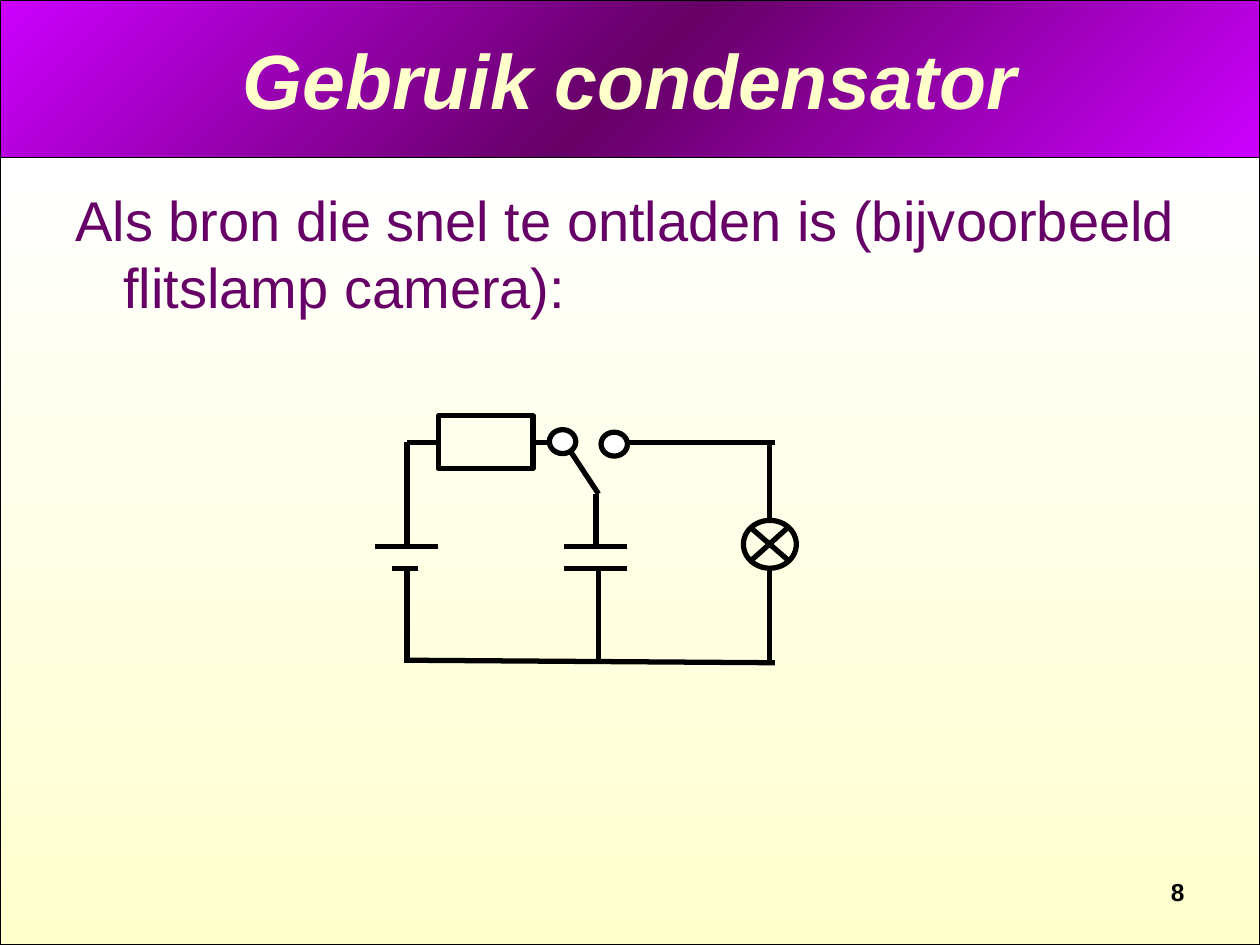
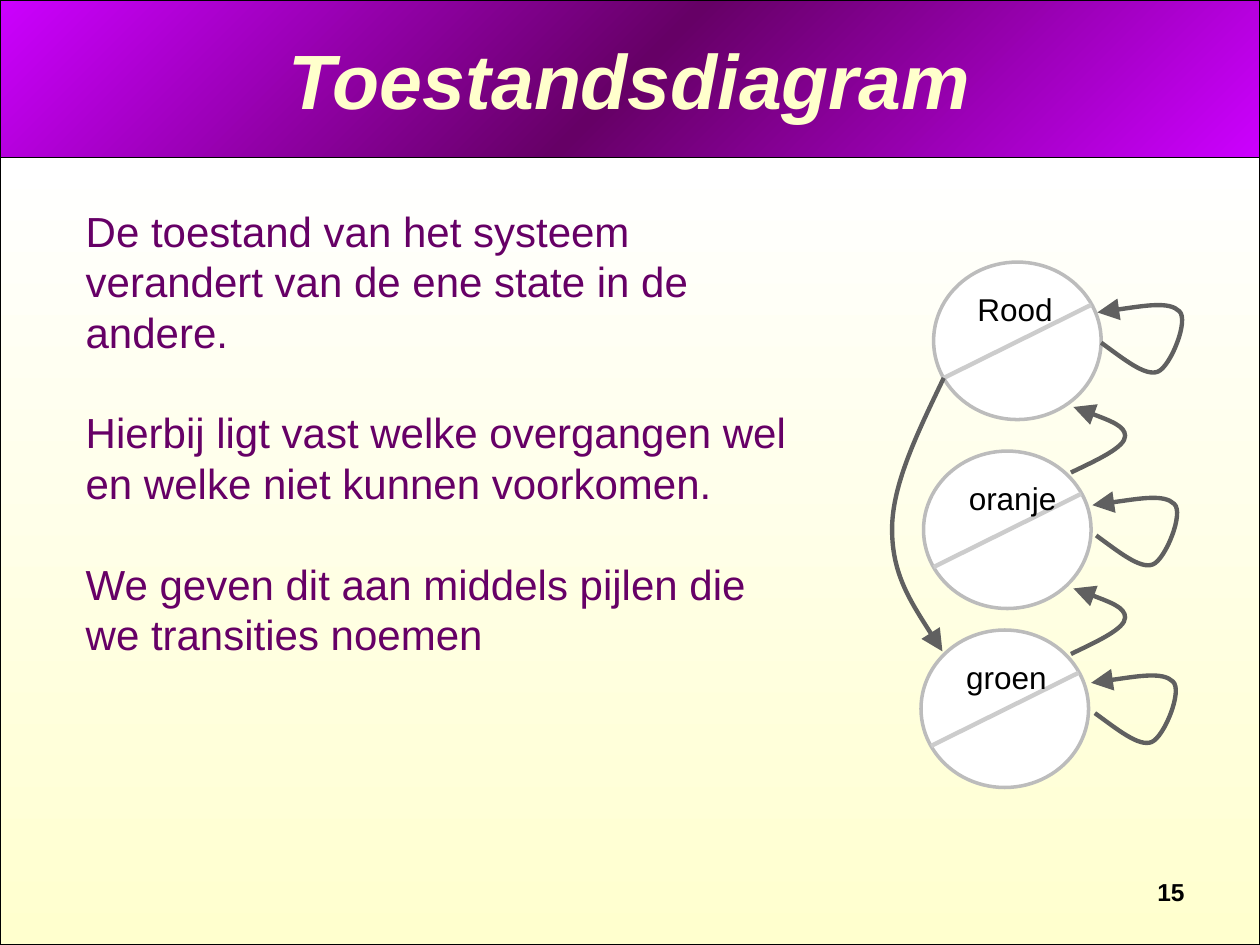
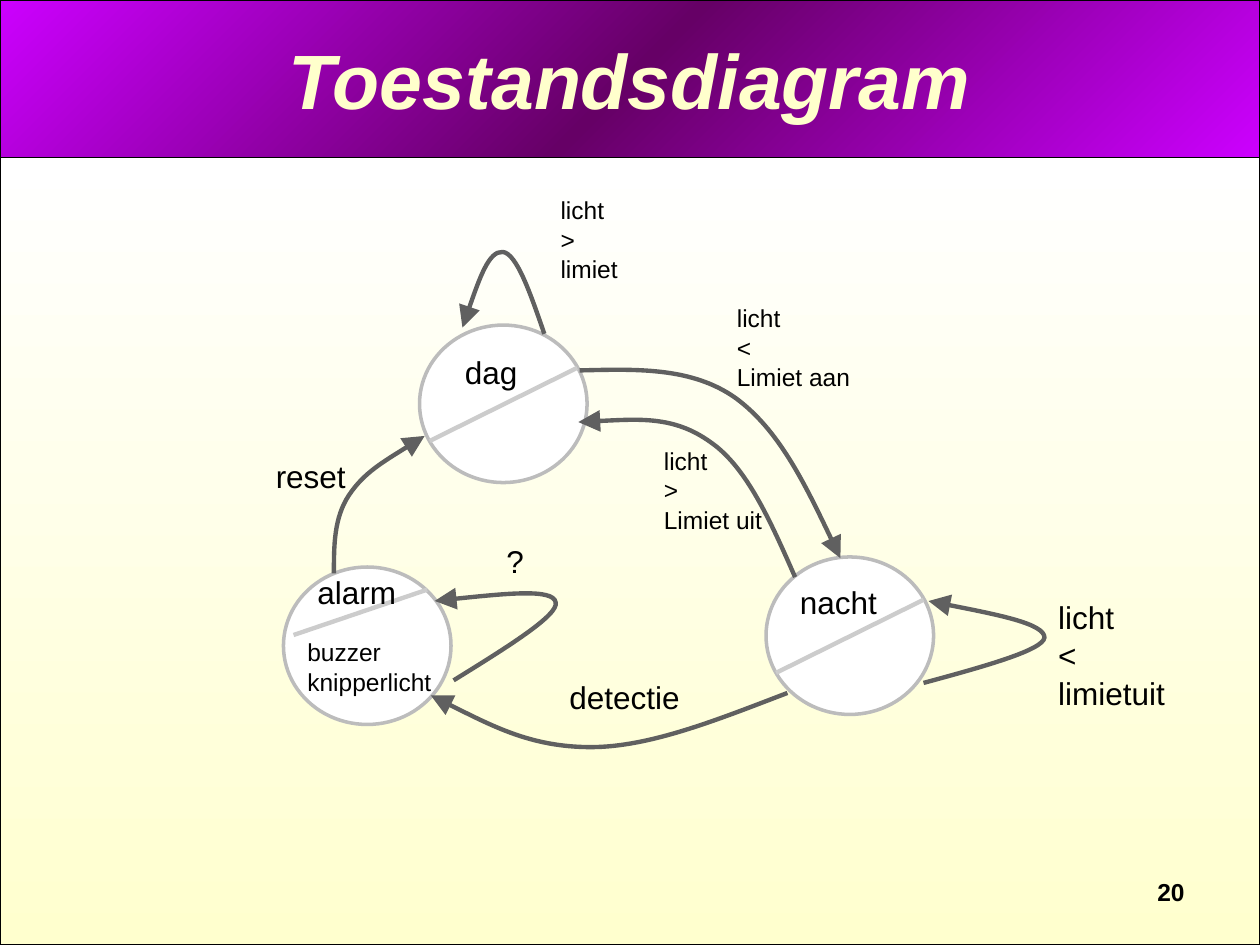
from typing import NamedTuple

from lxml.etree import SubElement
from pptx import Presentation
from pptx.dml.color import RGBColor as Rgb
from pptx.enum.shapes import MSO_CONNECTOR as Link, MSO_SHAPE as Kind
from pptx.enum.text import MSO_ANCHOR as Anchor, MSO_AUTO_SIZE as Fit, PP_ALIGN as Align
from pptx.oxml.ns import qn
from pptx.util import Emu, Inches, Pt

# Grid of 100 columns by 75 rows
CELL = Inches(0.1)
COLS, ROWS = 100, 75

FONT = "Arial"
BLACK = Rgb(0x00, 0x00, 0x00)
WHITE = Rgb(0xFF, 0xFF, 0xFF)
CREAM = Rgb(0xFF, 0xFF, 0xCC)
PURPLE = Rgb(0x66, 0x00, 0x66)
VIOLET = Rgb(0xCC, 0x00, 0xFF)
RIM = Rgb(0xBC, 0xBC, 0xBC)
SLASH = Rgb(0xCC, 0xCC, 0xCC)
ARROW = Rgb(0x60, 0x60, 0x60)


class Box(NamedTuple):
    """A place on the grid, in cells."""
    x: float
    y: float
    w: float = 0
    h: float = 0

    def sub(self, x, y, w=0, h=0):
        return Box(self.x + x, self.y + y, w, h)

    def emu(self):
        return [Emu(round(v * CELL)) for v in self]


HEAD = Box(0, 0, COLS, 12.5)
PAGE = Box(0, 12.5, COLS, ROWS - 12.5)

# Curves: a start, then three points for each bend
LOOP = [(0.3, 3.3), (2.1, 4.6), (3.8, 6), (4.8, 5.6), (5.8, 5.2), (7.3, 1.5),
        (6.5, 0.8), (5.7, 0), (2.8, 0.5), (0, 0.9)]
RISE = [(0, 5.2), (2.1, 4.2), (4.3, 3.2), (4.3, 2.3), (4.3, 1.5), (2.2, 0.7), (0.2, 0)]
DROP = [(4.9, 10), (2.9, 14.2), (0.8, 18.4), (0.8, 22), (0.8, 25.6), (2.8, 28.6), (4.8, 31.7)]


# Basic parts

def write(frame, text, size=18, color=BLACK, bold=False, italic=False,
          align=Align.LEFT, gap=0, hang=0):
    frame.text = text
    for i, para in enumerate(frame.paragraphs):
        props = para._p.get_or_add_pPr()
        props.set("marL", str(Inches(hang)))
        props.set("indent", str(-Inches(hang)))
        SubElement(props, qn("a:buNone"))
        para.alignment = align
        para.space_before = Pt(gap if i else 0)
        font = para.font
        font.name, font.size = FONT, Pt(size)
        font.bold, font.italic = bold, italic
        font.color.rgb = color


def place(holder, box):
    holder.left, holder.top, holder.width, holder.height = box.emu()


def label(shapes, box, text, **form):
    frame = shapes.add_textbox(*box.emu()).text_frame
    frame.word_wrap = False
    frame.auto_size = Fit.SHAPE_TO_FIT_TEXT
    frame.margin_right = 0  # room to keep each word on one line
    write(frame, text, **form)


def shape(shapes, kind, box, fill=None, color=BLACK, width=3):
    part = shapes.add_shape(kind, *box.emu())
    part.shadow.inherit = False
    if fill is None:
        part.fill.background()
    else:
        part.fill.solid()
        part.fill.fore_color.rgb = fill
    part.line.color.rgb = color
    part.line.width = Pt(width)
    return part


def wire(shapes, box, start, end, color=BLACK, width=3):
    part = shapes.add_connector(Link.STRAIGHT, *box.sub(*start).emu()[:2],
                                *box.sub(*end).emu()[:2])
    part.line.color.rgb = color
    part.line.width = Pt(width)
    SubElement(part._element.spPr, qn("a:effectLst"))
    return part


def curve(shapes, box, points):
    """Draw a bent arrow that points to the last point."""
    spots = [box.sub(*point).emu()[:2] for point in points]
    form = shapes.build_freeform(*spots[0])
    form.add_line_segments(spots[1:], close=False)
    part = form.convert_to_shape()
    part.shadow.inherit = False
    part.fill.background()
    part.line.color.rgb = ARROW
    part.line.width = Pt(2.5)
    props = part._element.spPr
    SubElement(props.find(qn("a:ln")), qn("a:tailEnd"), type="triangle", w="lg", len="lg")
    # Join each three straight steps into one bend
    track = props.find(".//" + qn("a:path"))
    steps = iter(track.findall(qn("a:lnTo")))
    for first, second, third in zip(steps, steps, steps):
        first.tag = qn("a:cubicBezTo")
        for step in (second, third):
            first.append(step[0])
            track.remove(step)


def fade(part, colors, angle, alpha=100):
    part.fill.gradient()
    part.fill.gradient_angle = 360 - angle
    stops = part._element.spPr.find(".//" + qn("a:gsLst"))
    for old in list(stops):
        stops.remove(old)
    for i, color in enumerate(colors):
        stop = SubElement(stops, qn("a:gs"), pos=str(100000 * i // (len(colors) - 1)))
        tone = SubElement(stop, qn("a:srgbClr"), val=str(color))
        if alpha < 100:
            SubElement(tone, qn("a:alpha"), val=str(alpha * 1000))


# Frame that all slides share

def start(deck, layout, title, number):
    slide = deck.slides.add_slide(deck.slide_layouts[layout])
    shapes = slide.shapes
    bands = [(HEAD, [VIOLET, PURPLE, VIOLET], 45, 100), (PAGE, [WHITE, CREAM], 90, 94)]
    for i, (box, colors, angle, alpha) in enumerate(bands):
        band = shape(shapes, Kind.RECTANGLE, box, width=0.75)
        fade(band, colors, angle, alpha)
        shapes._spTree.insert(2 + i, band._element)
    place(shapes.title, HEAD.sub(5, 0, 90, 12.5))
    frame = shapes.title.text_frame
    frame.vertical_anchor = Anchor.MIDDLE
    write(frame, title, size=44, color=CREAM, bold=True, italic=True, align=Align.CENTER)
    page = shapes.add_textbox(*PAGE.sub(71.7, 56.6, 23.3, 3.4).emu()).text_frame
    page.word_wrap = True
    write(page, str(number), size=14, bold=True, align=Align.RIGHT)
    return slide


def body(slide, box, text, **form):
    holder = slide.placeholders[1]
    place(holder, box)
    frame = holder.text_frame
    frame.auto_size = Fit.NONE
    frame.vertical_anchor = Anchor.TOP
    write(frame, text, color=PURPLE, **form)


# Diagrams

def circuit(shapes, box):
    lines = [
        # Battery
        ((2.5, 2.1), (2.5, 10.4)), ((5, 10.4), (0, 10.4)),
        ((3.4, 12.1), (1.3, 12.1)), ((2.5, 12.1), (2.5, 19.6)),
        # Switch and capacitor
        ((15, 2.1), (17.7, 6.2)), ((17.5, 6.2), (17.5, 10.4)),
        ((20, 10.4), (15, 10.4)), ((20, 12.1), (15, 12.1)),
        ((17.7, 12.1), (17.7, 19.6)),
        # Lamp branch and return
        ((31.7, 2.1), (19.2, 2.1)), ((31.3, 2.1), (31.3, 8.3)),
        ((31.3, 12.1), (31.3, 19.4)), ((31.7, 19.6), (2.3, 19.4)),
        # Lamp cross
        ((32.7, 8.9), (29.8, 11.5)), ((29.8, 8.9), (32.8, 11.5)),
    ]
    for first, last in lines:
        wire(shapes, box, first, last)
    # Resistor with its two leads
    block = shape(shapes, Kind.RECTANGLE, box.sub(5, 0, 7.5, 4.2))
    wire(shapes, box, (5, 2.1), (2.5, 2.1)).begin_connect(block, 1)
    wire(shapes, box, (15, 2.1), (12.5, 2.1)).end_connect(block, 3)
    # Lamp and switch contacts
    shape(shapes, Kind.OVAL, box.sub(29.2, 8.3, 4.2, 3.8))
    for x, y in [(17.9, 1.3), (13.8, 1.1)]:
        shape(shapes, Kind.OVAL, box.sub(x, y, 2.1, 1.9), fill=WHITE)


def state(shapes, box, name, spot, slash=((12.5, 3.4), (0.8, 9.2)), note=None):
    """Draw a state; spot is the left, top and width of its name."""
    parts = shapes.add_group_shape().shapes
    shape(parts, Kind.OVAL, box.sub(0, 0, 13.3, 12.5), fill=WHITE, color=RIM, width=2)
    wire(parts, box, *slash, color=SLASH, width=2.5)
    label(parts, box.sub(*spot, 4), name)
    if note:
        label(parts, box.sub(0.9, 5.1, 11.8, 5.7), note, size=14)


def lights(shapes, box):
    state(shapes, box.sub(4.1, 0.8), "Rood", (2.5, 1.7, 8))
    state(shapes, box.sub(3.3, 15.8), "oranje", (2.6, 1.7, 8.9))
    state(shapes, box.sub(3.1, 30), "groen", (2.6, 1.7, 8.4))
    curve(shapes, box, DROP)
    for spot in [(17.1, 3.9), (16.7, 19.2), (16.6, 33.3)]:
        curve(shapes, box.sub(*spot), LOOP)
    for spot in [(15, 12.3), (15, 26.7)]:
        curve(shapes, box.sub(*spot), RISE)


def alarm(shapes, box):
    state(shapes, box.sub(13.3, 10.8), "dag", (2.6, 1.7, 6.1))
    state(shapes, box.sub(2.5, 30), "alarm", (1.7, 0, 8.2),
          slash=((11.4, 1.8), (0.8, 5.4)), note="buzzer\nknipperlicht")
    state(shapes, box.sub(40.8, 29.2), "nacht", (1.7, 1.6, 8.1))
    moves = [
        # Night to alarm
        [(42.5, 40), (37, 42.1), (31.6, 44.3), (26.9, 44.3),
         (22.2, 44.3), (18.2, 42.2), (14.2, 40.2)],
        # Alarm to day
        [(6.5, 30.5), (6.5, 28.3), (6.5, 26.1), (7.7, 24.3),
         (8.9, 22.5), (11.3, 21.1), (13.7, 19.6)],
        # Night to day
        [(43.1, 30.8), (41.2, 26.5), (39.3, 22.1), (36.4, 20.1),
         (33.5, 18), (29.7, 18.3), (25.9, 18.5)],
        # Day to night
        [(26, 14.4), (30.4, 14.3), (34.9, 14.1), (38.4, 16.6),
         (41.8, 19.1), (44.3, 24.2), (46.7, 29.3)],
        # Night, day and alarm to themselves
        [(53.3, 39.2), (58.1, 37.9), (62.8, 36.6), (62.9, 35.6),
         (62.9, 34.5), (58.3, 33.6), (53.7, 32.7)],
        [(23.2, 11.5), (22.1, 8.3), (21, 5.1), (19.9, 5),
         (18.8, 4.9), (17.7, 8), (16.7, 11)],
        [(16, 39), (20.2, 36.4), (24.4, 33.8), (24.1, 32.8),
         (23.9, 31.7), (19.2, 32.2), (14.5, 32.7)],
    ]
    for points in moves:
        curve(shapes, box, points)
    causes = [
        ("licht\n>\nLimiet uit", (31.7, 19.9, 9.8, 8), 14),
        ("licht\n<\nLimiet aan", (37.5, 8.6, 11, 8), 14),
        ("licht\n>\nlimiet", (23.5, 0, 6.5, 8), 14),
        ("licht\n<\nlimietuit", (63, 32, 10.4, 10), 18),
        ("reset", (0.9, 20.8, 7.5, 4), 18),
        ("detectie", (24.2, 38.3, 10.7, 4), 18),
        ("?", (19.2, 27.5, 3.4, 4), 18),
    ]
    for text, spot, size in causes:
        label(shapes, box.sub(*spot), text, size=size)


def main():
    deck = Presentation()
    deck.slide_width, deck.slide_height = COLS * CELL, ROWS * CELL

    slide = start(deck, 1, "Gebruik condensator", 8)
    body(slide, Box(5, 14.2, 90, 13.3),
         "Als bron die snel te ontladen is (bijvoorbeeld flitslamp camera):",
         size=32, hang=0.38)
    circuit(slide.shapes, Box(29.8, 33, 33.4, 19.6))

    slide = start(deck, 1, "Toestandsdiagram", 15)
    body(slide, Box(5.8, 15.8, 59.2, 37),
         "De toestand van het systeem verandert van de ene state in de andere.\n"
         "Hierbij ligt vast welke overgangen wel en welke niet kunnen voorkomen.\n"
         "We geven dit aan middels pijlen die we transities noemen",
         size=24, gap=28.8)
    lights(slide.shapes, Box(70, 20, 25, 43))

    slide = start(deck, 5, "Toestandsdiagram", 20)
    alarm(slide.shapes, Box(20, 15, 75, 45))

    deck.save("out.pptx")


if __name__ == "__main__":
    main()
